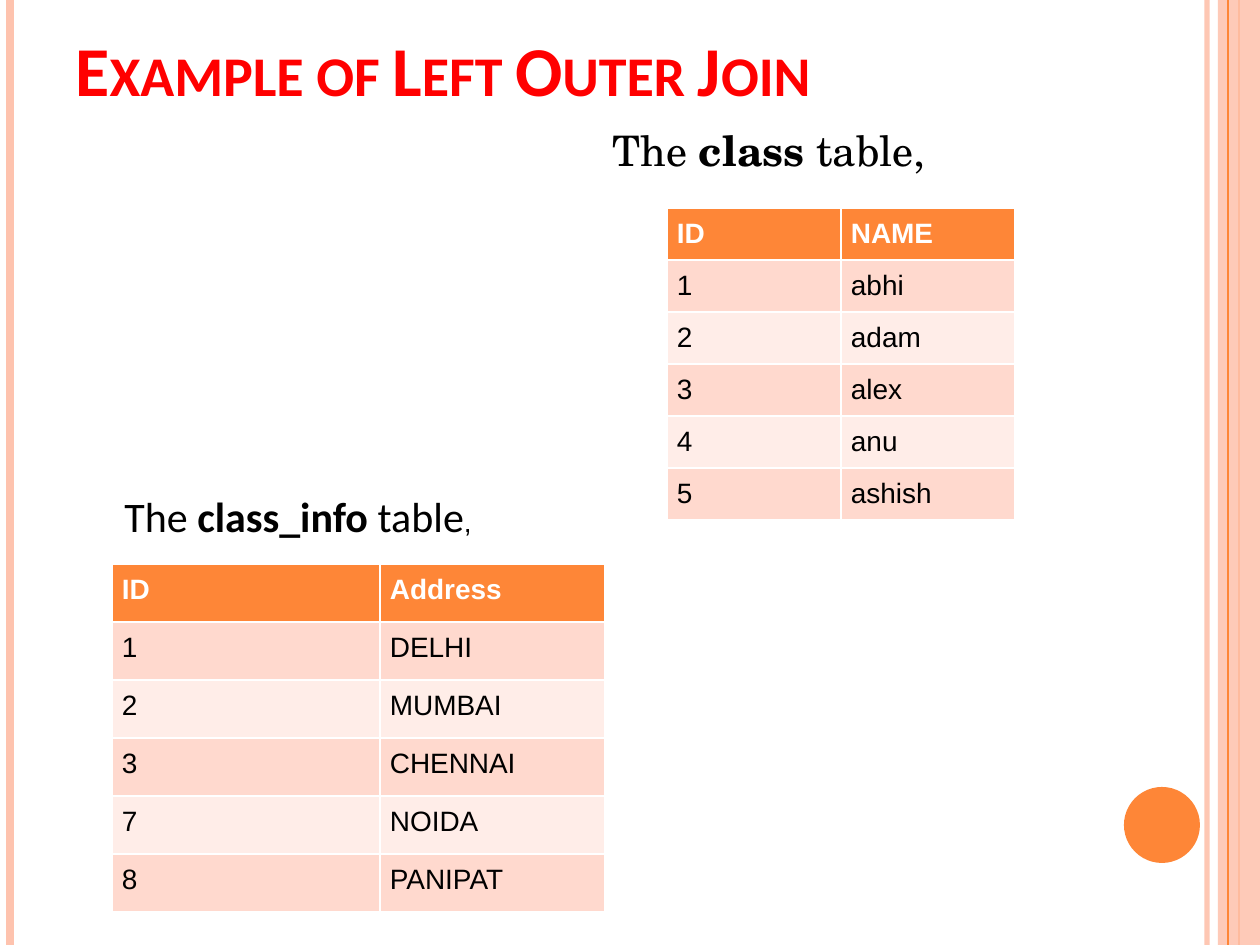
from dataclasses import dataclass

from lxml.etree import SubElement as Sub
from pptx import Presentation
from pptx.dml.color import RGBColor as RGB
from pptx.enum.shapes import MSO_CONNECTOR as Conn, MSO_SHAPE as Shape
from pptx.enum.text import MSO_ANCHOR as Anchor, MSO_AUTO_SIZE as Auto
from pptx.oxml.ns import qn
from pptx.util import Pt

SCALE = 914400 / 126  # EMU in one px
WIDE, HIGH = 1260, 945


@dataclass(frozen=True)
class Theme:
    red: str = "FF0000"
    black: str = "000000"
    white: str = "FFFFFF"
    main: str = "FE8637"
    pale: str = "FEC3AE"
    bands: tuple = ("FFD9CE", "FFEDE8")
    head: int = 40
    text: int = 24
    cell: int = 16
    sans: str = "Calibri"
    serif: str = "TeX Gyre Schola"
    grid: str = "Arial"


T = Theme()


def px(num):
    return round(num * SCALE)


def apply(obj, **vals):
    for key, val in vals.items():
        setattr(obj, key, val)


def place(shape, left, top, width, height):
    apply(shape, left=px(left), top=px(top), width=px(width), height=px(height))


def fade(fill, share):
    """Make a solid fill partly transparent; share is its opacity in percent."""
    tone = fill._xPr.find(qn("a:solidFill"))[0]
    Sub(tone, qn("a:alpha"), val=str(share * 1000))


def add_run(para, text, font, size, color, bold=False):
    run = para.add_run()
    run.text = text
    apply(run.font, name=font, size=Pt(size), bold=bold)
    run.font.color.rgb = RGB.from_string(color)
    return run


def add_rule(slide, x, color, width, share=100):
    rule = slide.shapes.add_connector(Conn.STRAIGHT, px(x), 0, px(x), px(HIGH))
    rule.line.width = Pt(width)
    rule.line.color.rgb = RGB.from_string(color)
    Sub(rule._element.spPr, qn("a:effectLst"))
    if share < 100:
        fade(rule.line.fill, share)


def add_block(slide, kind, box, color, share=100):
    block = slide.shapes.add_shape(kind, *map(px, box))
    block.shadow.inherit = False
    block.fill.solid()
    block.fill.fore_color.rgb = RGB.from_string(color)
    block.line.fill.background()
    if share < 100:
        fade(block.fill, share)


def add_frame(slide):
    """Side bars and the page dot."""
    add_rule(slide, 1207, T.pale, 3, 93)
    add_rule(slide, 10, T.pale, 4.5)
    add_rule(slide, 1239, T.main, 1.5)
    add_block(slide, Shape.RECTANGLE, (1218, 0, 42, HIGH), T.pale, 87)
    add_rule(slide, 1228, T.main, 0.75)
    add_block(slide, Shape.OVAL, (1124, 787, 76, 76), T.main)


def set_title(shape, text):
    place(shape, 63, 38, 1029, 157)
    frame = shape.text_frame
    apply(frame, auto_size=Auto.NONE, word_wrap=True,
          vertical_anchor=Anchor.BOTTOM, margin_bottom=px(84))
    para = frame.paragraphs[0]
    para.alignment = 1
    run = add_run(para, text, T.sans, T.head, T.red, True)
    run._r.get_or_add_rPr().set("cap", "small")


def set_body(shape, parts):
    place(shape, 63, 118, 1029, 800)
    frame = shape.text_frame
    apply(frame, auto_size=Auto.NONE, word_wrap=True)
    para = frame.paragraphs[0]
    para.space_before = Pt(6)
    props = para._p.get_or_add_pPr()
    for key, val in {"marL": px(537), "indent": 0}.items():
        props.set(key, str(val))
    Sub(props, qn("a:buNone"))
    for text, bold in parts:
        add_run(para, text, T.serif, T.text, T.black, bold)


def add_label(slide, box, parts):
    frame = slide.shapes.add_textbox(*map(px, box)).text_frame
    frame.word_wrap = True
    for part in parts:
        add_run(frame.paragraphs[0], *part)


def add_grid(slide, left, top, cols, step, rows):
    size = len(rows), len(cols)
    box = left, top, sum(cols), step * len(rows)
    table = slide.shapes.add_table(*size, *map(px, box)).table
    table.horz_banding = False
    for col, width in zip(table.columns, cols):
        col.width = px(width)
    for i, row in enumerate(rows):
        table.rows[i].height = px(step)
        fill, color = (T.bands[(i - 1) % 2], T.black) if i else (T.main, T.white)
        for j, text in enumerate(row):
            cell = table.cell(i, j)
            sides = ("left", "top", "right", "bottom")
            apply(cell, **{f"margin_{side}": px(10) for side in sides})
            cell.fill.solid()
            cell.fill.fore_color.rgb = RGB.from_string(fill)
            para = cell.text_frame.paragraphs[0]
            add_run(para, text, T.grid, T.cell, color, i == 0)


def main():
    deck = Presentation()
    apply(deck, slide_width=px(WIDE), slide_height=px(HIGH))
    slide = deck.slides.add_slide(deck.slide_layouts[1])
    add_frame(slide)

    # Heading and first table
    set_title(slide.shapes.title, "Example of Left Outer Join")
    set_body(slide.placeholders[1],
             [("The ", False), ("class", True), (" table,", False)])
    add_grid(slide, 667, 208, (174, 174), 52, [
        ("ID", "NAME"), ("1", "abhi"), ("2", "adam"),
        ("3", "alex"), ("4", "anu"), ("5", "ashish")])

    # Second table with its label
    add_label(slide, (112, 484, 428, 63), [
        ("The ", T.sans, T.text, T.black),
        ("class_info", T.sans, T.text, T.black, True),
        (" table", T.sans, T.text, T.black),
        (",", T.grid, T.cell, T.black)])
    add_grid(slide, 112, 564, (268, 225), 58, [
        ("ID", "Address"), ("1", "DELHI"), ("2", "MUMBAI"),
        ("3", "CHENNAI"), ("7", "NOIDA"), ("8", "PANIPAT")])

    deck.save("out.pptx")


if __name__ == "__main__":
    main()
